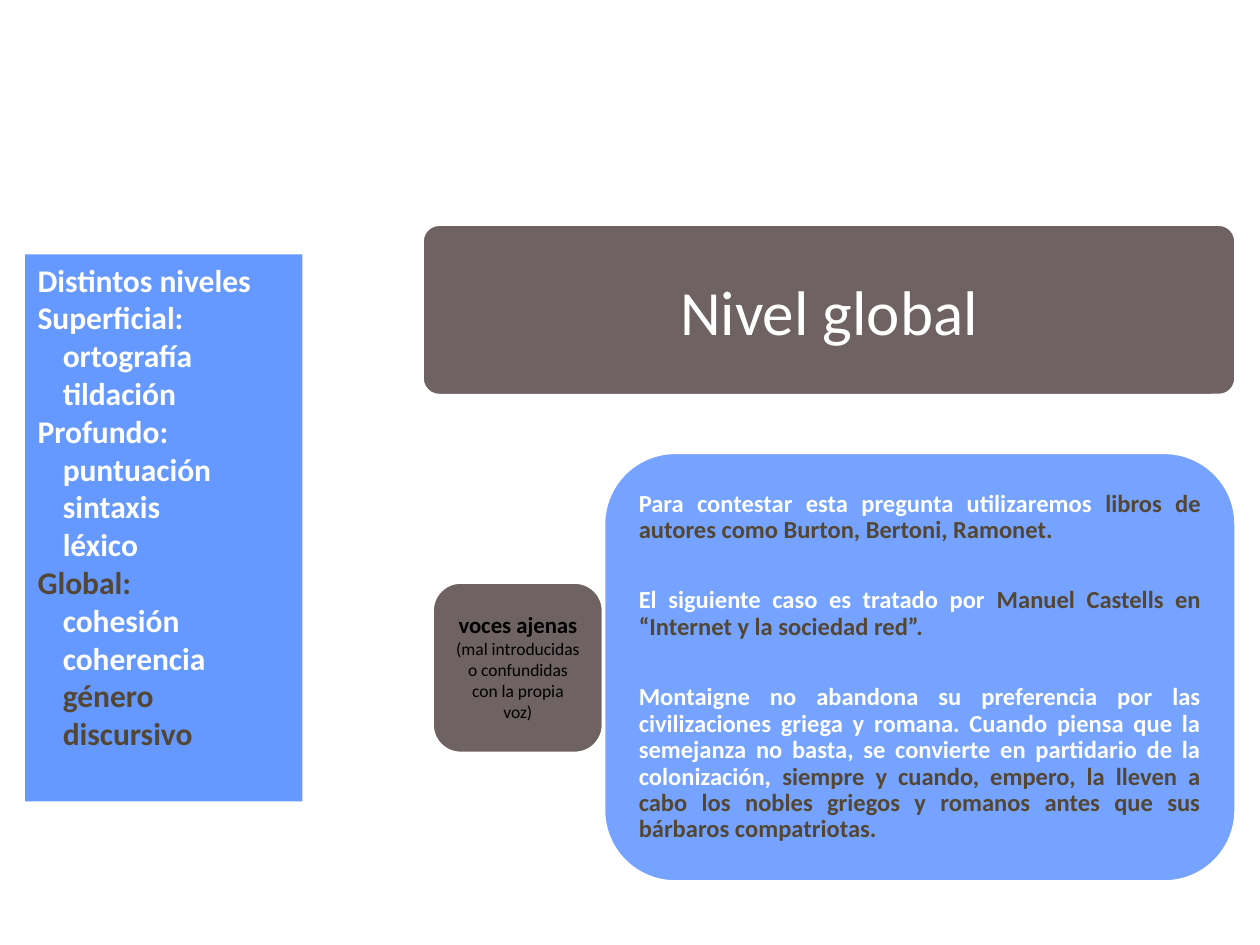
from lxml.etree import SubElement
from pptx import Presentation
from pptx.dml.color import RGBColor
from pptx.enum.shapes import MSO_SHAPE
from pptx.enum.text import MSO_ANCHOR, MSO_AUTO_SIZE, PP_ALIGN
from pptx.oxml.ns import qn
from pptx.util import Inches, Pt

SLIDE_WIDTH, SLIDE_HEIGHT = Inches(10), Inches(7.5)
CELL = SLIDE_WIDTH / 100  # the slide is a grid of 100 columns by 75 rows

WHITE, BLACK, BLUE, GREY, BROWN = "FFFFFF", "000000", "6699FF", "6E6263", "534733"

LEVELS = [
    ("Distintos niveles", 0, WHITE),
    ("Superficial:", 0, WHITE),
    ("ortografía", 1, WHITE),
    ("tildación", 1, WHITE),
    ("Profundo:", 0, WHITE),
    ("puntuación", 1, WHITE),
    ("sintaxis", 1, WHITE),
    ("léxico", 1, WHITE),
    ("Global:", 0, BROWN),
    ("cohesión", 1, WHITE),
    ("coherencia", 1, WHITE),
    ("género discursivo", 1, BROWN),
]
EXAMPLES = [
    ("Para contestar esta pregunta utilizaremos ",
     "libros de autores como Burton, Bertoni, Ramonet."),
    ("El siguiente caso es tratado por ",
     "Manuel Castells en “Internet y la sociedad red”."),
    ("Montaigne no abandona su preferencia por las civilizaciones griega y romana. "
     "Cuando piensa que la semejanza no basta, se convierte en partidario de la colonización, ",
     "siempre y cuando, empero, la lleven a cabo los nobles griegos y romanos "
     "antes que sus bárbaros compatriotas."),
]


def color(value):
    return RGBColor.from_string(value)


def apply(target, values):
    for name, value in values.items():
        setattr(target, name, value)


def cells(box):
    return [round(length * CELL) for length in box]


def inset(box, horizontal, vertical):
    """Shrink a box by the given number of cells on each side."""
    left, top, width, height = box
    return left + horizontal, top + vertical, width - 2 * horizontal, height - 2 * vertical


def add_block(slide, box, kind, fill, outline=None, corner=None, opacity=None):
    shape = slide.shapes.add_shape(kind, *cells(box))
    shape.shadow.inherit = False
    shape.fill.solid()
    shape.fill.fore_color.rgb = color(fill)
    if corner is not None:
        shape.adjustments[0] = corner
    if opacity is not None:
        fill_color = shape.fill._xPr.find(qn("a:solidFill"))[0]
        SubElement(fill_color, qn("a:alpha"), val=str(opacity * 1000))
    if outline:
        shape.line.color.rgb = color(outline)
        shape.line.width = Pt(2)
    else:
        shape.line.fill.background()
    return shape


def set_frame(shape, anchor, horizontal=0.1, vertical=0.05):
    frame = shape.text_frame
    apply(frame, dict(
        word_wrap=True, auto_size=MSO_AUTO_SIZE.NONE, vertical_anchor=anchor,
        margin_left=Inches(horizontal), margin_right=Inches(horizontal),
        margin_top=Inches(vertical), margin_bottom=Inches(vertical)))
    return frame


def add_paragraph(frame, index, runs, alignment, **spacing):
    """Write one paragraph; each run is (text, size, colour, bold)."""
    paragraph = frame.paragraphs[0] if index == 0 else frame.add_paragraph()
    apply(paragraph, dict(alignment=alignment, **spacing))
    for text, size, value, bold in runs:
        run = paragraph.add_run()
        run.text = text
        apply(run.font, dict(name="Calibri", size=Pt(size), bold=bold))
        run.font.color.rgb = color(value)
    return paragraph


def add_banner(slide, box):
    add_block(slide, box, MSO_SHAPE.ROUNDED_RECTANGLE, GREY, WHITE, corner=0.1)
    title = slide.shapes.title
    slide.shapes._spTree.append(title._element)  # bring in front of the banner
    apply(title, dict(zip(("left", "top", "width", "height"), cells(inset(box, 0.4, 0.4)))))
    frame = set_frame(title, MSO_ANCHOR.MIDDLE, 0.07)
    add_paragraph(frame, 0, [("Nivel global", 36, WHITE, False)], PP_ALIGN.CENTER)


def add_label(slide, box):
    add_block(slide, box, MSO_SHAPE.ROUNDED_RECTANGLE, GREY, WHITE, corner=0.167)
    text_box = slide.shapes.add_textbox(*cells(inset(box, 0.9, 1.8)))
    frame = set_frame(text_box, MSO_ANCHOR.TOP)
    lines = [("voces ajenas", 13, BLACK, True),
             ("(mal introducidas o confundidas con la propia voz)", 10, BLACK, False)]
    for index, line in enumerate(lines):
        add_paragraph(frame, index, [line], PP_ALIGN.CENTER)


def add_examples(slide, box):
    add_block(slide, box, MSO_SHAPE.ROUNDED_RECTANGLE, BLUE, WHITE, corner=0.167, opacity=90)
    text_box = slide.shapes.add_textbox(*cells(inset(box, 1.7, 1.7)))
    frame = set_frame(text_box, MSO_ANCHOR.MIDDLE, 0.11, 0.11)
    for index, (opening, voice) in enumerate(EXAMPLES):
        runs = [(opening, 14, WHITE, True), (voice, 14, BROWN, True)]
        add_paragraph(frame, index, runs, PP_ALIGN.JUSTIFY, line_spacing=0.9,
                      space_before=Pt(25 if index else 0))


def add_levels(slide, box):
    frame = set_frame(add_block(slide, box, MSO_SHAPE.RECTANGLE, BLUE), MSO_ANCHOR.TOP)
    for index, (text, depth, value) in enumerate(LEVELS):
        paragraph = add_paragraph(frame, index, [(text, 18, value, True)], PP_ALIGN.LEFT)
        paragraph._p.get_or_add_pPr().set("marL", str(depth * Inches(0.2)))


def main():
    presentation = Presentation()
    apply(presentation, dict(slide_width=SLIDE_WIDTH, slide_height=SLIDE_HEIGHT))
    slide = presentation.slides.add_slide(presentation.slide_layouts[5])
    add_banner(slide, (33.5, 17.8, 64.6, 13.6))
    add_label(slide, (34.3, 46.2, 13.6, 13.6))
    add_examples(slide, (47.9, 35.9, 50.2, 34.1))
    add_levels(slide, (2, 20.2, 22, 43.4))
    presentation.save("out.pptx")


if __name__ == "__main__":
    main()
